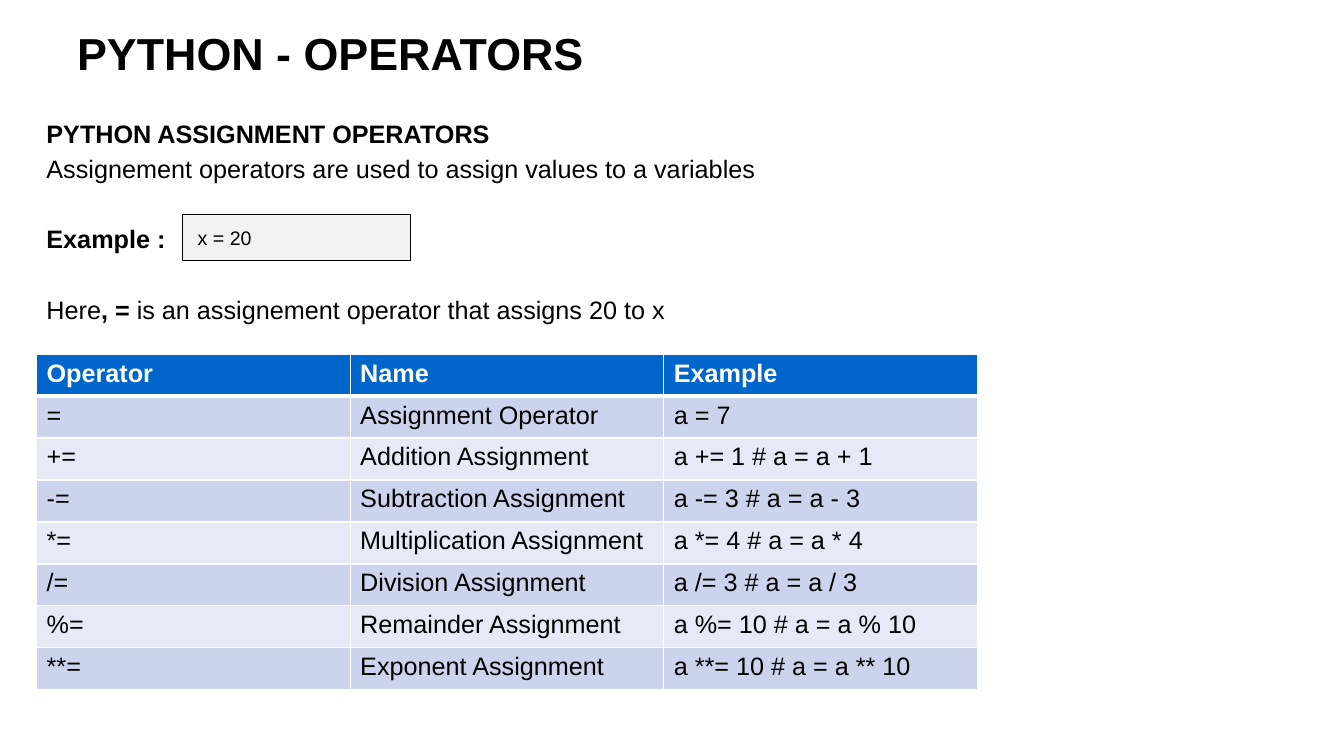
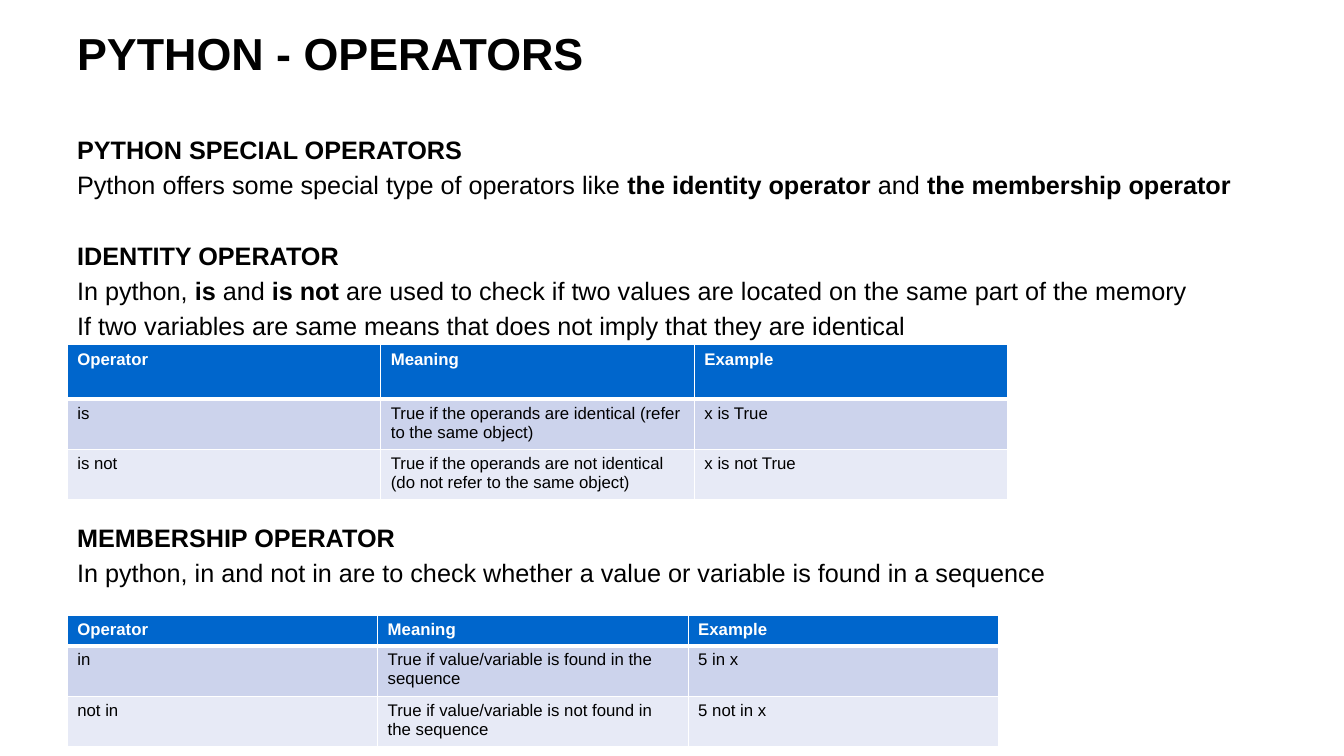
from lxml.etree import SubElement
from pptx import Presentation
from pptx.dml.color import RGBColor
from pptx.enum.shapes import MSO_SHAPE as Shape
from pptx.enum.text import MSO_ANCHOR as Anchor, PP_ALIGN as Align
from pptx.oxml.ns import qn
from pptx.util import Inches, Pt

WIDTH, HEIGHT = Inches(13.33), Inches(7.5)
FONT = "Arial"
BLACK = RGBColor(0x00, 0x00, 0x00)
WHITE = RGBColor(0xFF, 0xFF, 0xFF)
HEADER_BLUE = RGBColor(0x00, 0x66, 0xCC)
BANDS = RGBColor(0xCC, 0xD3, 0xEC), RGBColor(0xE7, 0xEA, 0xF6)
CODE_GREY = RGBColor(0xF2, 0xF2, 0xF2)

TITLE = "PYTHON - OPERATORS"
TITLE_SIZE, BODY_SIZE, CODE_SIZE, SMALL_SIZE = 32, 18, 14, 12
PARA_GAP, LINE_PITCH = 3.6, 25.2
MARGIN = 5  # percent of the slide's width
NARROW_MARGIN = 2.72
TWO_LINE_ROW = 6.28  # percent of the slide's height

# Body lines: (free lines above, text); spans between bars are bold.
ASSIGNMENT_LINES = [
    (0, "|PYTHON ASSIGNMENT OPERATORS|"),
    (0, "Assignement operators are used to assign values to a variables"),
    (1, "|Example :|"),
    (1, "Here|, = |is an assignement operator that assigns 20 to x"),
]
SPECIAL_LINES = [
    (0, "|PYTHON SPECIAL OPERATORS|"),
    (0, "Python offers some special type of operators like "
        "|the identity operator |and |the membership operator|"),
    (1, "|IDENTITY OPERATOR|"),
    (0, "In python, |is| and |is not| are used to check if two values "
        "are located on the same part of the memory"),
    (0, "If two variables are same means that does not imply that they are identical"),
    (5, "|MEMBERSHIP OPERATOR|"),
    (0, "In python, in and not in are to check whether a value or variable "
        "is found in a sequence"),
]
ASSIGNMENT_TABLE = [
    ("Operator", "Name", "Example"),
    ("=", "Assignment Operator", "a = 7"),
    ("+=", "Addition Assignment", "a += 1 # a = a + 1"),
    ("-=", "Subtraction Assignment", "a -= 3 # a = a - 3"),
    ("*=", "Multiplication Assignment", "a *= 4 # a = a * 4"),
    ("/=", "Division Assignment", "a /= 3 # a = a / 3"),
    ("%=", "Remainder Assignment", "a %= 10 # a = a % 10"),
    ("**=", "Exponent Assignment", "a **= 10 # a = a ** 10"),
]
IDENTITY_TABLE = [
    ("Operator", "Meaning", "Example"),
    ("is", "True if the operands are identical (refer to the same object)", "x is True"),
    ("is not", "True if the operands are not identical (do not refer to the same object)",
     "x is not True"),
]
MEMBERSHIP_TABLE = [
    ("Operator", "Meaning", "Example"),
    ("in", "True if value/variable is found in the sequence", "5 in x"),
    ("not in", "True if value/variable is not found in the sequence", "5 not in x"),
]


def place(left, top, width, height):
    """Turn percentages of the slide's size into lengths."""
    return (int(WIDTH * left / 100), int(HEIGHT * top / 100),
            int(WIDTH * width / 100), int(HEIGHT * height / 100))


def style_span(span, size, color=BLACK, bold=False):
    font = span.font
    font.name, font.size, font.bold = FONT, Pt(size), bold
    font.color.rgb = color


def add_text_box(page, area):
    frame = page.shapes.add_textbox(*place(*area)).text_frame
    frame.word_wrap = True
    return frame


def add_page(deck):
    """Add a blank slide that carries the shared title."""
    page = deck.slides.add_slide(deck.slide_layouts[6])
    frame = add_text_box(page, (MARGIN, 2.67, 90, 8.53))
    frame.vertical_anchor = Anchor.MIDDLE
    frame.text = TITLE
    style_span(frame.paragraphs[0].runs[0], TITLE_SIZE, bold=True)
    return page


def add_body(page, area, lines):
    frame = add_text_box(page, area)
    for index, (free_lines, text) in enumerate(lines):
        para = frame.add_paragraph() if index else frame.paragraphs[0]
        para.space_before = Pt(PARA_GAP + free_lines * LINE_PITCH if index else 0)
        for position, part in enumerate(text.split("|")):
            if part:
                span = para.add_run()
                span.text = part
                style_span(span, BODY_SIZE, bold=position % 2 == 1)


def add_code_box(page, area, code):
    box = page.shapes.add_shape(Shape.RECTANGLE, *place(*area))
    box.shadow.inherit = False
    box.fill.solid()
    box.fill.fore_color.rgb = CODE_GREY
    box.line.color.rgb, box.line.width = BLACK, Pt(0.75)
    frame = box.text_frame
    frame.vertical_anchor = Anchor.MIDDLE
    frame.margin_left = Inches(0.15)
    frame.text = code
    para = frame.paragraphs[0]
    para.alignment = Align.LEFT
    style_span(para.runs[0], CODE_SIZE)


def set_borders(cell, bottom):
    """Draw white cell borders, 1 pt except for the bottom one."""
    properties = cell._tc.get_or_add_tcPr()
    sides = {"a:lnL": 1, "a:lnR": 1, "a:lnT": 1, "a:lnB": bottom}
    for index, (side, points) in enumerate(sides.items()):
        line = SubElement(properties, qn(side), w=str(Pt(points)))
        fill = SubElement(line, qn("a:solidFill"))
        SubElement(fill, qn("a:srgbClr"), val=str(WHITE))
        properties.insert(index, line)


def add_grid(page, left, top, width, row_heights, rows, size):
    area = place(left, top, width, sum(row_heights))
    table = page.shapes.add_table(len(rows), len(rows[0]), *area).table
    for row_index, (texts, height) in enumerate(zip(rows, row_heights)):
        table.rows[row_index].height = int(HEIGHT * height / 100)
        is_header = row_index == 0
        for column_index, text in enumerate(texts):
            cell = table.cell(row_index, column_index)
            cell.text = text
            cell.fill.solid()
            cell.fill.fore_color.rgb = HEADER_BLUE if is_header else BANDS[(row_index - 1) % 2]
            style_span(cell.text_frame.paragraphs[0].runs[0], size,
                       WHITE if is_header else BLACK, is_header)
            set_borders(cell, bottom=3 if is_header else 1)


def add_assignment_page(deck):
    page = add_page(deck)
    add_body(page, (NARROW_MARGIN, 14.93, 96.45, 82.8), ASSIGNMENT_LINES)
    add_code_box(page, (13.58, 28.4, 17, 6.13), "x = 20")
    add_grid(page, NARROW_MARGIN, 46.85, 70, [5.55] * len(ASSIGNMENT_TABLE),
             ASSIGNMENT_TABLE, BODY_SIZE)


def add_special_page(deck):
    page = add_page(deck)
    add_body(page, (MARGIN, 17.07, 93.1, 72.3), SPECIAL_LINES)
    add_grid(page, MARGIN, 45.6, 70, [7.2, TWO_LINE_ROW, TWO_LINE_ROW],
             IDENTITY_TABLE, SMALL_SIZE)
    add_grid(page, MARGIN, 81.4, 69.3, [3.7, TWO_LINE_ROW, TWO_LINE_ROW],
             MEMBERSHIP_TABLE, SMALL_SIZE)


def main():
    deck = Presentation()
    deck.slide_width, deck.slide_height = WIDTH, HEIGHT
    add_assignment_page(deck)
    add_special_page(deck)
    deck.save("out.pptx")


if __name__ == "__main__":
    main()
